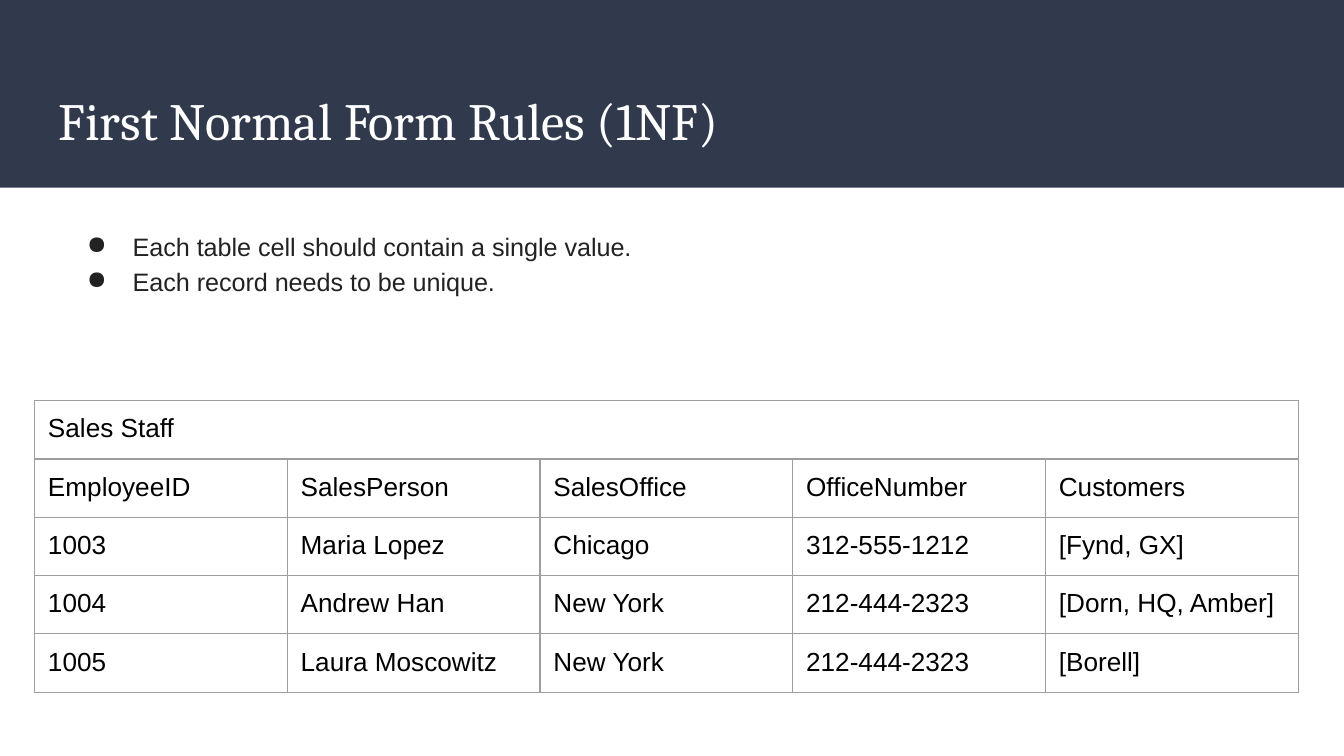
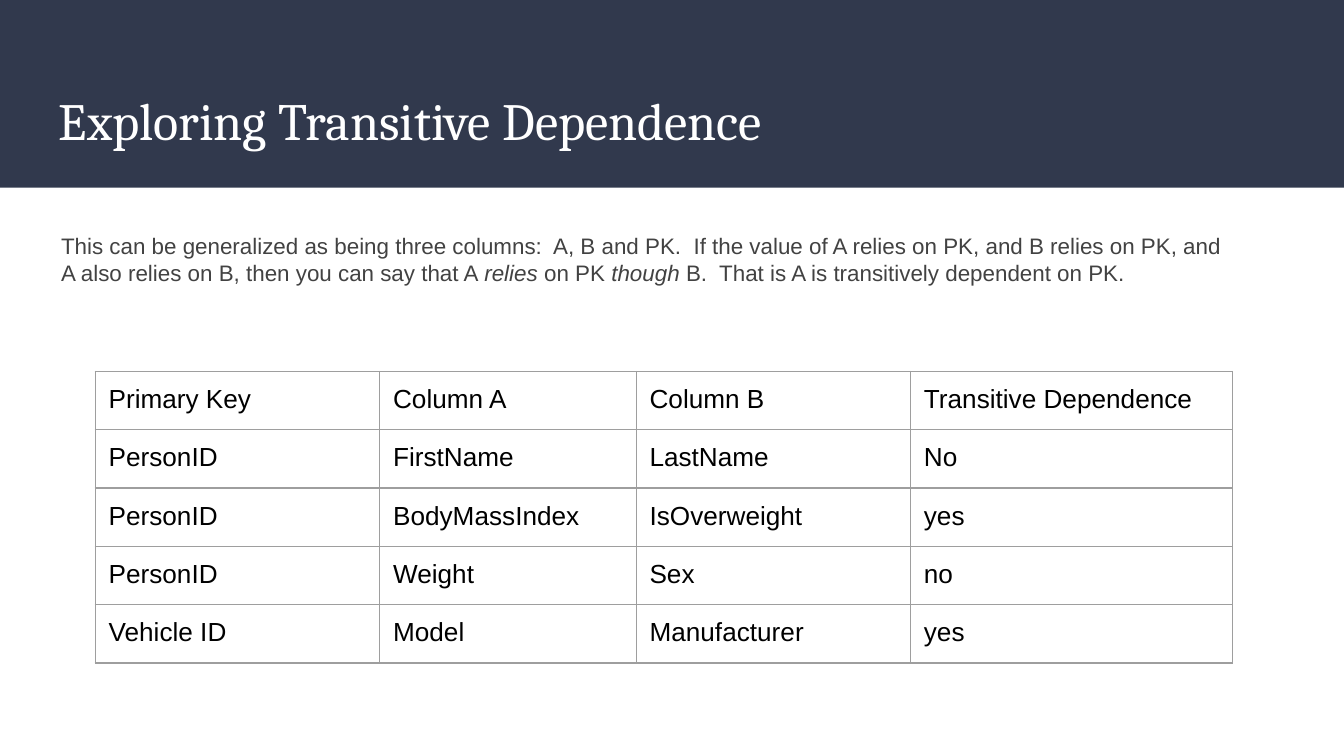
from dataclasses import dataclass

from lxml.etree import SubElement
from pptx import Presentation
from pptx.dml.color import RGBColor
from pptx.enum.shapes import MSO_SHAPE
from pptx.enum.text import MSO_ANCHOR
from pptx.oxml.ns import qn
from pptx.util import Pt


@dataclass(frozen=True)
class Theme:
    band: str = "31394D"
    title: str = "FFFFFF"
    rule: str = "222222"
    explanation: str = "424242"
    cell: str = "000000"
    border: str = "9E9E9E"
    heading_font: str = "Cambria"
    body_font: str = "Arial"
    title_size: float = 28
    rule_size: float = 13.5
    explanation_size: float = 12
    cell_size: float = 14
    border_width: float = 0.75
    inset: float = 7.2


theme = Theme()
prs = Presentation()
prs.slide_width, prs.slide_height = Pt(720), Pt(405)


def style(paragraph, font_name, size, color):
    paragraph.font.name = font_name
    paragraph.font.size = Pt(size)
    paragraph.font.color.rgb = RGBColor.from_string(color)


def add_text_frame(slide, left, top, width, height):
    frame = slide.shapes.add_textbox(Pt(left), Pt(top), Pt(width), Pt(height)).text_frame
    frame.word_wrap = True
    frame.margin_left = frame.margin_right = Pt(theme.inset)
    frame.margin_top = frame.margin_bottom = Pt(theme.inset)
    return frame


titles = ["First Normal Form Rules (1NF)", "Exploring Transitive Dependence"]
slides = []
for title in titles:
    slide = prs.slides.add_slide(prs.slide_layouts[6])
    band = slide.shapes.add_shape(MSO_SHAPE.RECTANGLE, 0, 0, prs.slide_width, Pt(100.5))
    band.shadow.inherit = False
    band.fill.solid()
    band.fill.fore_color.rgb = RGBColor.from_string(theme.band)
    band.line.fill.background()
    heading = add_text_frame(slide, 24.5, 39.6, 671, 49)
    heading.vertical_anchor = MSO_ANCHOR.MIDDLE
    heading.text = title
    style(heading.paragraphs[0], theme.heading_font, theme.title_size, theme.title)
    slides.append(slide)
first_form, transitive = slides

rules = add_text_frame(first_form, 28, 114.5, 598, 188)
rules.text = "Each table cell should contain a single value.\nEach record needs to be unique."
rules.paragraphs[0].space_before = Pt(18)
for rule in rules.paragraphs:
    rule.line_spacing = 1.15
    properties = rule._p.get_or_add_pPr()
    properties.set("marL", str(Pt(36)))
    properties.set("indent", str(Pt(-24.5)))
    bullet_color = SubElement(properties, qn("a:buClr"))
    SubElement(bullet_color, qn("a:srgbClr"), val=theme.rule)
    SubElement(properties, qn("a:buChar"), char="●")
    style(rule, theme.body_font, theme.rule_size, theme.rule)

explanation = add_text_frame(transitive, 25.6, 117.4, 641, 72.7).paragraphs[0]
phrases = [
    ("This can be generalized as being three columns:  A, B and PK.  If the value of A "
     "relies on PK, and B relies on PK, and A also relies on B, then you can say that A ", False),
    ("relies ", True),
    ("on PK ", False),
    ("though", True),
    (" B.  That is A is transitively dependent on PK.", False),
]
for phrase, italic in phrases:
    run = explanation.add_run()
    run.text = phrase
    run.font.italic = italic
style(explanation, theme.body_font, theme.explanation_size, theme.explanation)

sales_staff = [
    ["Sales Staff", "", "", "", ""],
    ["EmployeeID", "SalesPerson", "SalesOffice", "OfficeNumber", "Customers"],
    ["1003", "Maria Lopez", "Chicago", "312-555-1212", "[Fynd, GX]"],
    ["1004", "Andrew Han", "New York", "212-444-2323", "[Dorn, HQ, Amber]"],
    ["1005", "Laura Moscowitz", "New York", "212-444-2323", "[Borell]"],
]
dependences = [
    ["Primary Key", "Column A", "Column B", "Transitive Dependence"],
    ["PersonID", "FirstName", "LastName", "No"],
    ["PersonID", "BodyMassIndex", "IsOverweight", "yes"],
    ["PersonID", "Weight", "Sex", "no"],
    ["Vehicle ID", "Model", "Manufacturer", "yes"],
]
tables = [
    (first_form, sales_staff, 18.5, 214.6, [135.4] * 5, [30] * 5),
    (transitive, dependences, 51, 199, [152.4, 137.4, 147, 172.6], [30] + [31.2] * 4),
]
for slide, records, left, top, widths, heights in tables:
    table = slide.shapes.add_table(
        len(heights), len(widths), Pt(left), Pt(top), Pt(sum(widths)), Pt(sum(heights))
    ).table
    table.first_row = table.horz_banding = False
    for column, width in zip(table.columns, widths):
        column.width = Pt(width)
    for row, height, record in zip(table.rows, heights, records):
        row.height = Pt(height)
        for cell, value in zip(row.cells, record):
            cell.text = value
            style(cell.text_frame.paragraphs[0], theme.body_font, theme.cell_size, theme.cell)
            cell.margin_left = cell.margin_right = Pt(theme.inset)
            cell.margin_top = cell.margin_bottom = Pt(theme.inset)
            properties = cell._tc.get_or_add_tcPr()
            for side in ("lnL", "lnR", "lnT", "lnB"):
                border = SubElement(properties, qn(f"a:{side}"), w=str(Pt(theme.border_width)))
                border_fill = SubElement(border, qn("a:solidFill"))
                SubElement(border_fill, qn("a:srgbClr"), val=theme.border)
            cell.fill.background()
    if table is not None and records is sales_staff:
        table.cell(0, 0).merge(table.cell(0, len(widths) - 1))

prs.save("out.pptx")
